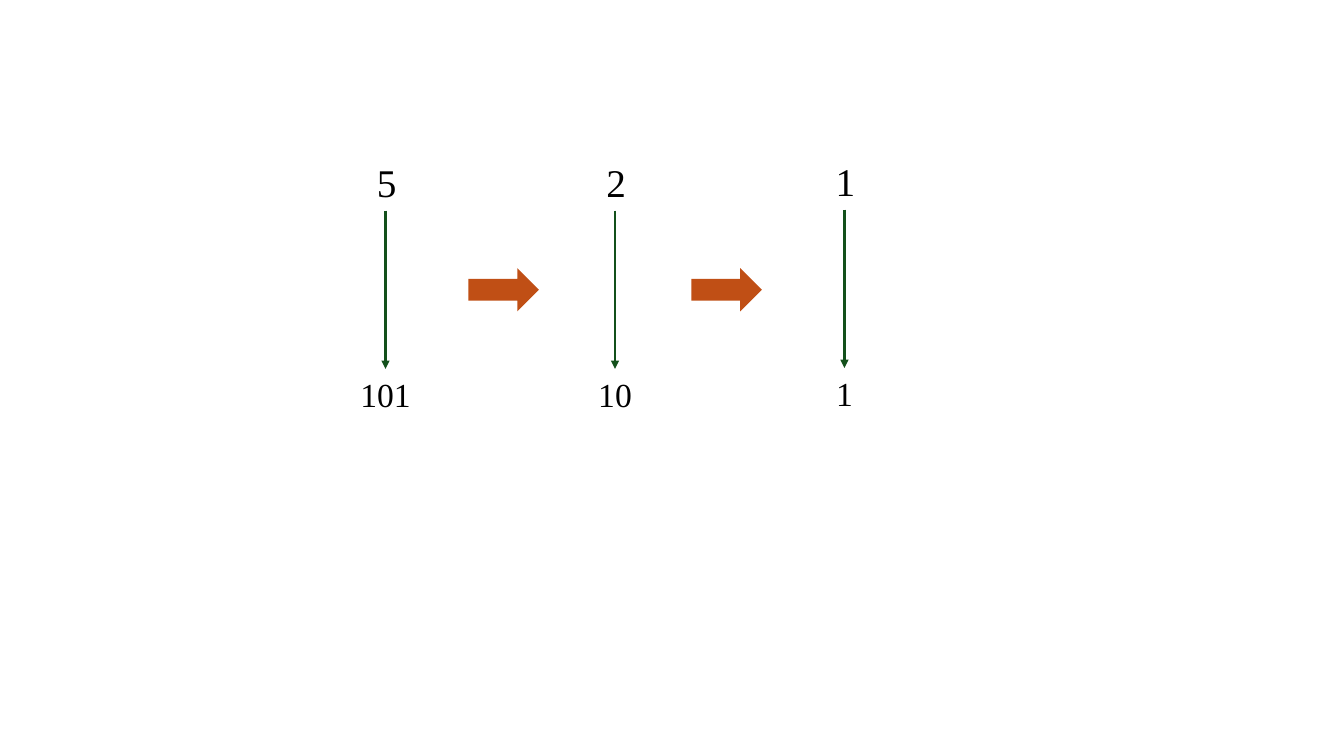
import pptx
import pptx.dml.color
import pptx.enum.shapes
import pptx.enum.text
import pptx.oxml
import pptx.oxml.ns
import pptx.util

Pt = pptx.util.Pt
BLACK = pptx.dml.color.RGBColor(0x00, 0x00, 0x00)
GREEN = pptx.dml.color.RGBColor(0x13, 0x50, 0x1B)
ORANGE = pptx.dml.color.RGBColor(0xC0, 0x4F, 0x15)
LEFT = pptx.enum.text.PP_ALIGN.LEFT
CENTER = pptx.enum.text.PP_ALIGN.CENTER


class Diagram:
    font = "Times New Roman"

    def __init__(self, slide):
        self.shapes = slide.shapes

    def label(self, text, center, top, width, height, size, align, wrap):
        box = self.shapes.add_textbox(
            Pt(center - width / 2), Pt(top), Pt(width), Pt(height))
        frame = box.text_frame
        frame.word_wrap = wrap
        frame.auto_size = pptx.enum.text.MSO_AUTO_SIZE.SHAPE_TO_FIT_TEXT
        paragraph = frame.paragraphs[0]
        paragraph.alignment = align
        run = paragraph.add_run()
        run.text = text
        run.font.name = self.font
        run.font.size = Pt(size)
        run.font.color.rgb = BLACK
        return box

    def link(self, upper, lower):
        connector = self.shapes.add_connector(
            pptx.enum.shapes.MSO_CONNECTOR.STRAIGHT, 0, 0, 0, 0)
        connector.begin_connect(upper, 2)
        connector.end_connect(lower, 0)
        connector.line.color.rgb = GREEN
        connector.line.width = Pt(1.5)
        line = connector.line._get_or_add_ln()
        head = pptx.oxml.ns.qn("a:tailEnd")
        line.append(line.makeelement(head, {"type": "triangle"}))
        properties = connector._element.spPr
        effects = pptx.oxml.ns.qn("a:effectLst")
        properties.append(properties.makeelement(effects, {}))

    def block_arrow(self, left, top, width, height):
        arrow = self.shapes.add_shape(
            pptx.enum.shapes.MSO_SHAPE.RIGHT_ARROW,
            Pt(left), Pt(top), Pt(width), Pt(height))
        arrow.shadow.inherit = False
        arrow.fill.solid()
        arrow.fill.fore_color.rgb = ORANGE
        arrow.line.fill.background()


def main():
    deck = pptx.Presentation()
    deck.slide_width = Pt(960)
    deck.slide_height = Pt(540)
    diagram = Diagram(deck.slides.add_slide(deck.slide_layouts[6]))

    conversions = [("5", "101", 109.5), ("2", "10", 109.5), ("1", "1", 108.8)]
    for step, (decimal, binary, top) in enumerate(conversions):
        center = 275.4 + step * 163.9
        number = diagram.label(
            decimal, center, top, 26.6, 41, 28, LEFT, False)
        bits = diagram.label(
            binary, center, top + 154, 67, 36, 24, CENTER, True)
        diagram.link(number, bits)

    for step in range(len(conversions) - 1):
        diagram.block_arrow(334.6 + step * 159.2, 191.5, 50.4, 31)

    deck.save("out.pptx")


if __name__ == "__main__":
    main()
